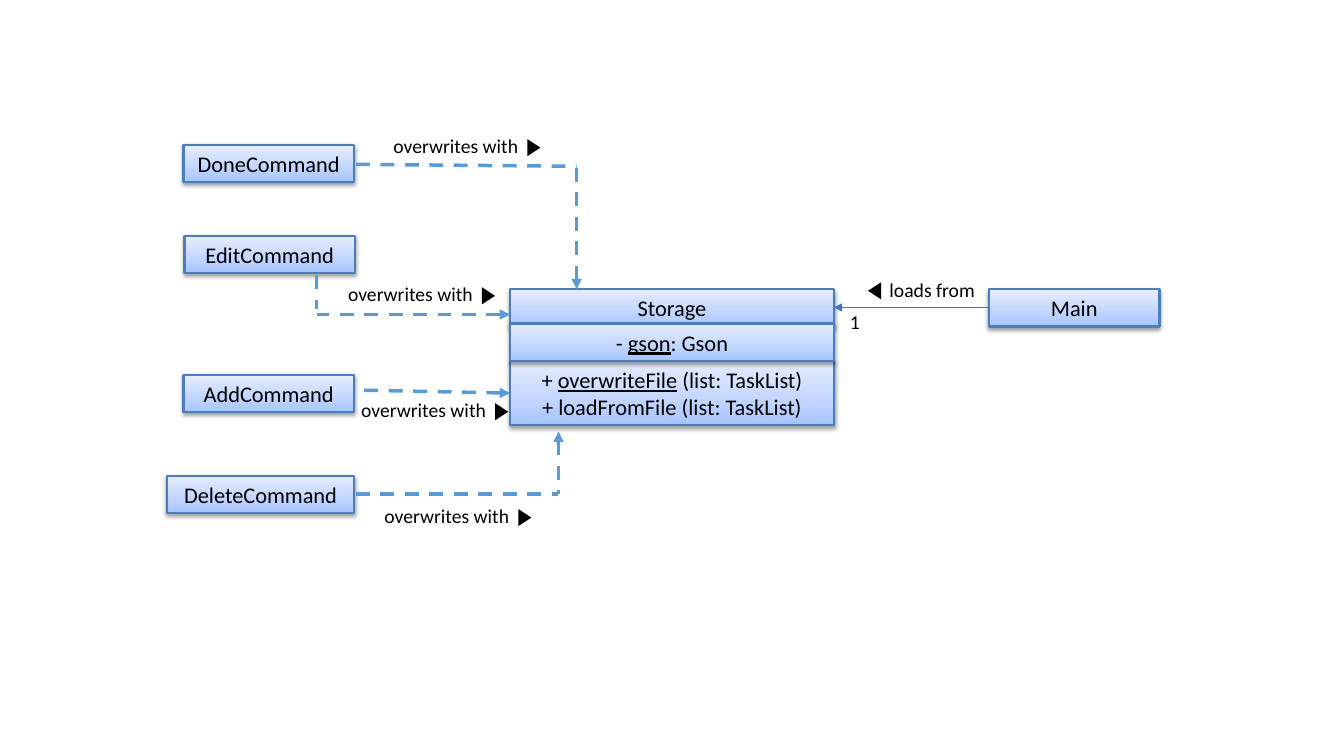
from collections import namedtuple
from dataclasses import dataclass

from pptx import Presentation
from pptx.dml.color import RGBColor
from pptx.enum.dml import MSO_LINE as Dash
from pptx.enum.shapes import MSO_CONNECTOR as Connector, MSO_SHAPE as Shape
from pptx.enum.text import MSO_ANCHOR as Anchor, MSO_AUTO_SIZE as AutoSize, PP_ALIGN as Align
from pptx.oxml import parse_xml
from pptx.oxml.ns import nsdecls
from pptx.util import Inches, Pt

COLUMNS, ROWS = 13.33, 7.5
SLIDE_WIDTH, SLIDE_HEIGHT = Inches(COLUMNS), Inches(ROWS)
Box = namedtuple("Box", "left top width height")


@dataclass(frozen=True)
class Theme:
    font: str = "Calibri"
    class_size: int = 16
    label_size: int = 14
    ink: str = "000000"
    border: str = "4B7EBC"
    dependency: str = "5B9BD5"
    association: str = "4472C4"
    gradient: tuple = ((0, "A4C4FF"), (35, "BFD4FF"), (100, "E6EEFF"))


THEME = Theme()
ROW_HEIGHT = 0.37
LABEL_HEIGHT = 0.34
MARKER_WIDTH, MARKER_HEIGHT = 0.17, 0.13


def apply(target, values):
    for name, value in values.items():
        setattr(target, name, value)


def across(columns):
    return round(SLIDE_WIDTH * columns / COLUMNS)


def down(rows):
    return round(SLIDE_HEIGHT * rows / ROWS)


def frame(box):
    return across(box.left), down(box.top), across(box.width), down(box.height)


def inside(box, left, top, width, height):
    return Box(box.left + left, box.top + top, width, height)


def write(shape, lines, size, align, anchor):
    text_frame = shape.text_frame
    apply(text_frame, {"word_wrap": True, "auto_size": AutoSize.SHAPE_TO_FIT_TEXT,
                       "vertical_anchor": anchor})
    for index, parts in enumerate(lines):
        paragraph = text_frame.add_paragraph() if index else text_frame.paragraphs[0]
        paragraph.alignment = align
        for text, underline in parts:
            run = paragraph.add_run()
            run.text = text
            apply(run.font, {"name": THEME.font, "size": Pt(size), "underline": underline})
            run.font.color.rgb = RGBColor.from_string(THEME.ink)


def class_row(slide, box, lines):
    shape = slide.shapes.add_shape(Shape.RECTANGLE, *frame(box))
    stops = "".join(f'<a:gs pos="{share * 1000}"><a:srgbClr val="{color}"/></a:gs>'
                    for share, color in THEME.gradient)
    properties = shape._element.spPr
    properties.append(parse_xml(
        f'<a:gradFill {nsdecls("a")} rotWithShape="1"><a:gsLst>{stops}</a:gsLst>'
        '<a:lin ang="16200000" scaled="0"/></a:gradFill>'))
    shape.line.width = Pt(1.5)
    shape.line.color.rgb = RGBColor.from_string(THEME.border)
    properties.append(parse_xml(
        f'<a:effectLst {nsdecls("a")}><a:outerShdw blurRad="{Pt(3.1)}" dist="{Pt(1.6)}" '
        f'dir="5400000" rotWithShape="0"><a:srgbClr val="{THEME.ink}">'
        '<a:alpha val="38000"/></a:srgbClr></a:outerShdw></a:effectLst>'))
    write(shape, lines, THEME.class_size, Align.CENTER, Anchor.MIDDLE)


def label(slide, box, text):
    shape = slide.shapes.add_textbox(*frame(box))
    write(shape, [[(text, False)]], THEME.label_size, Align.LEFT, Anchor.TOP)


def marker(slide, box, rotation):
    shape = slide.shapes.add_shape(Shape.ISOSCELES_TRIANGLE, *frame(box))
    shape.rotation = rotation
    shape.shadow.inherit = False
    shape.fill.solid()
    shape.fill.fore_color.rgb = RGBColor.from_string(THEME.ink)
    shape.line.fill.background()


def line(slide, box, start, end, color, width, dash=None, arrow=None):
    points = [(across(box.left + x), down(box.top + y)) for x, y in (start, end)]
    connector = slide.shapes.add_connector(Connector.STRAIGHT, *points[0], *points[1])
    connector.line.color.rgb = RGBColor.from_string(color)
    apply(connector.line, {"width": Pt(width), "dash_style": dash})
    properties = connector._element.spPr
    if arrow:
        properties.ln.append(parse_xml(f'<a:{arrow} {nsdecls("a")} type="triangle"/>'))
    properties.append(parse_xml(f'<a:effectLst {nsdecls("a")}/>'))


def storage_class(slide, box):
    methods = [[("+ ", False), ("overwriteFile", True), (" (list: TaskList)", False)],
               [("+ loadFromFile (list: TaskList)", False)]]
    attributes = [[("- ", False), ("gson", True), (": Gson", False)]]
    rows = ((0, ROW_HEIGHT, [[("Storage", False)]]),
            (0.71, box.height - 0.71, methods),
            (0.34, ROW_HEIGHT, attributes))
    for top, height, lines in rows:
        class_row(slide, inside(box, 0, top, box.width, height), lines)


def main_class(slide, box):
    class_row(slide, box, [[("Main", False)]])
    line(slide, box, (0, 0.18), (-1.54, 0.18), THEME.association, 0.5, arrow="tailEnd")
    label(slide, inside(box, -1.48, 0.16, 0.29, LABEL_HEIGHT), "1")
    label(slide, inside(box, -1.13, -0.16, 1.34, LABEL_HEIGHT), " loads from")
    marker(slide, inside(box, -1.22, -0.05, MARKER_WIDTH, MARKER_HEIGHT), 270)


def command_class(slide, box, name, label_place, segments):
    class_row(slide, box, [[(name, False)]])
    for index, (start, end) in enumerate(segments):
        line(slide, box, start, end, THEME.dependency, 2.5, Dash.DASH,
             None if index else "headEnd")
    label_box = inside(box, *label_place, 1.54, LABEL_HEIGHT)
    label(slide, label_box, " overwrites with")
    marker(slide, inside(label_box, 1.45, 0.12, MARKER_WIDTH, MARKER_HEIGHT), 90)


COMMANDS = (
    ("DoneCommand", Box(1.82, 1.44, 1.69, ROW_HEIGHT), (1.94, -0.16),
     (((3.9, 1.43), (3.9, 0.21)), ((1.71, 0.19), (3.9, 0.21)))),
    ("EditCommand", Box(1.83, 2.34, 1.69, ROW_HEIGHT), (1.48, 0.41),
     (((3.23, 0.78), (1.31, 0.78)), ((1.31, 0.39), (1.31, 0.73)))),
    ("AddCommand", Box(1.82, 3.72, 1.69, ROW_HEIGHT), (1.62, 0.18),
     (((3.24, 0.18), (1.71, 0.15)),)),
    ("DeleteCommand", Box(1.66, 4.72, 1.85, ROW_HEIGHT), (2.01, 0.23),
     (((3.88, -0.44), (3.88, 0.18)), ((1.87, 0.18), (3.87, 0.18)))),
)


def main():
    presentation = Presentation()
    apply(presentation, {"slide_width": SLIDE_WIDTH, "slide_height": SLIDE_HEIGHT})
    slide = presentation.slides.add_slide(presentation.slide_layouts[6])
    storage_class(slide, Box(5.06, 2.87, 3.21, 1.35))
    main_class(slide, Box(9.81, 2.87, 1.69, ROW_HEIGHT))
    for name, box, label_place, segments in COMMANDS:
        command_class(slide, box, name, label_place, segments)
    presentation.save("out.pptx")


if __name__ == "__main__":
    main()
